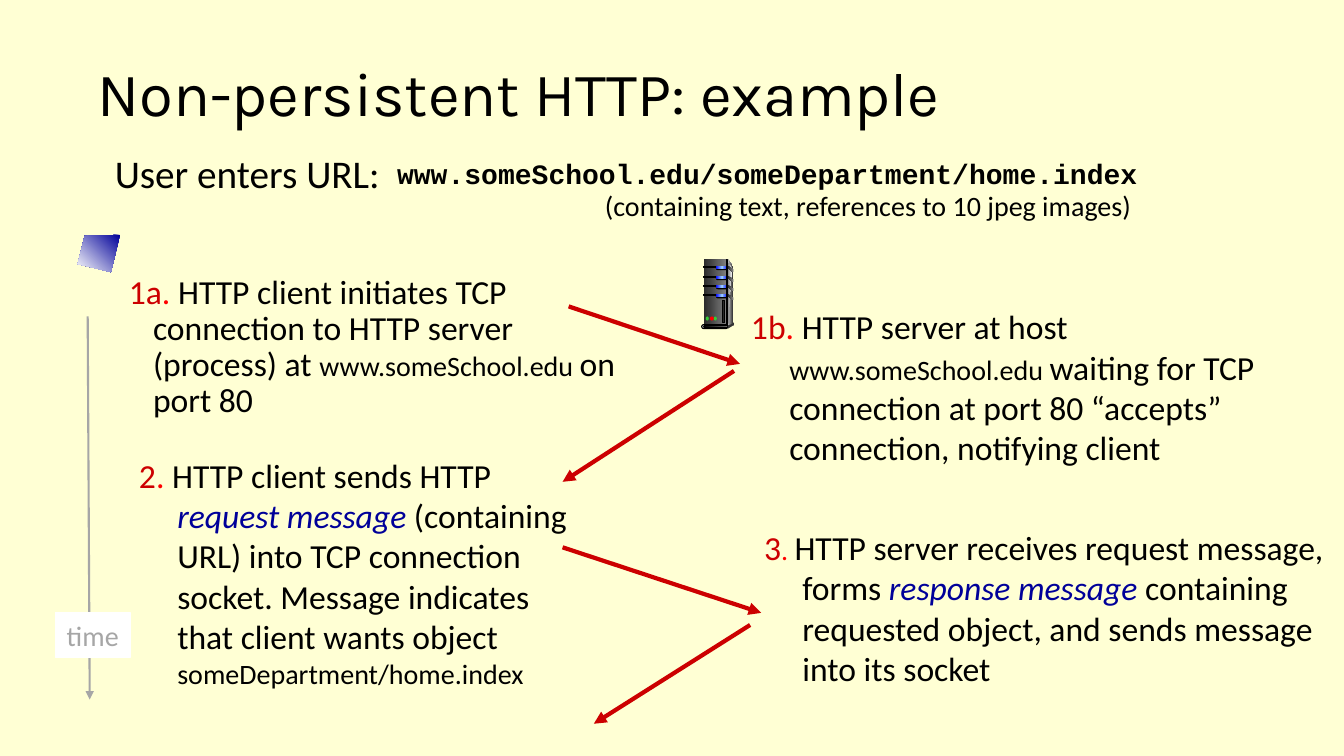
"""Build the slide explaining a non-persistent HTTP exchange between client and server."""
from copy import deepcopy

from lxml.etree import SubElement
from pptx import Presentation
from pptx.dml.color import RGBColor
from pptx.enum.shapes import MSO_CONNECTOR, MSO_SHAPE
from pptx.enum.text import MSO_ANCHOR, PP_ALIGN
from pptx.oxml.ns import qn
from pptx.util import Inches, Pt

CREAM = RGBColor(0xFF, 0xFF, 0xD4)
WHITE = RGBColor(0xFF, 0xFF, 0xFF)
BLACK = RGBColor(0x00, 0x00, 0x00)
CRIMSON = RGBColor(0xCC, 0x00, 0x00)
RED = RGBColor(0xFF, 0x00, 0x00)
NAVY = RGBColor(0x00, 0x00, 0x99)
BLUE = RGBColor(0x00, 0x00, 0xFF)
SKY = RGBColor(0x99, 0xCC, 0xFF)
GREEN = RGBColor(0x33, 0xCC, 0x33)
TIME_GREY = RGBColor(0xA6, 0xA6, 0xA6)
CHARCOAL = RGBColor(0x29, 0x29, 0x29)
DARK_GREY = RGBColor(0x33, 0x33, 0x33)
MID_GREY = RGBColor(0x80, 0x80, 0x80)
LIGHT_GREY = RGBColor(0xDD, 0xDD, 0xDD)
PALE_GREY = RGBColor(0xF8, 0xF8, 0xF8)

presentation = Presentation()
presentation.slide_width = Inches(13.33)
presentation.slide_height = Inches(7.5)
slide = presentation.slides.add_slide(presentation.slide_layouts[6])
slide.background.fill.solid()
slide.background.fill.fore_color.rgb = CREAM


def paint(shape, colours, outline=None, angle=0):
    shape.shadow.inherit = False
    if len(colours) == 1:
        shape.fill.solid()
        shape.fill.fore_color.rgb = colours[0]
    else:
        shape.fill.gradient()
        shape.fill.gradient_angle = angle
        stop_list = shape._element.spPr.find(qn("a:gradFill")).find(qn("a:gsLst"))
        for _ in colours[2:]:
            stop_list.append(deepcopy(stop_list[0]))
        for index, (stop, colour) in enumerate(zip(shape.fill.gradient_stops, colours)):
            stop.position = index / (len(colours) - 1)
            stop.color.rgb = colour
    if outline is None:
        shape.line.fill.background()
    else:
        shape.line.color.rgb = outline
        shape.line.width = Pt(0.75)


def add_polygon(points, colours, angle=0):
    corners = [(Inches(x), Inches(y)) for x, y in points]
    builder = slide.shapes.build_freeform(*corners[0])
    builder.add_line_segments(corners[1:], close=True)
    paint(builder.convert_to_shape(), colours, angle=angle)


plain = {"size": Pt(24)}
small = {"size": Pt(20)}
emphasis = {"size": Pt(24), "italic": True}
step_indent = (0.38, -0.38)
lead_indent = (0.39, -0.24)
texts = [
    ((0.87, 0.47, 11.5, 0.98), (0, 0), {"line_spacing": 0.9},
     [("Non-persistent HTTP: example", BLACK, {"size": Pt(44), "name": "Karla"})]),
    ((0.89, 1.48, 8.69, 0.51), lead_indent, {"line_spacing": 0.9},
     [("User enters URL:", BLACK, {"size": Pt(28)})]),
    ((1.03, 2.68, 5.3, 2.08), lead_indent, {"line_spacing": 0.9},
     [("1a", CRIMSON, plain), (".", RED, plain),
      (" HTTP client initiates TCP connection to HTTP server (process) at ", BLACK, plain),
      ("www.someSchool.edu ", BLACK, small), ("on port 80", BLACK, plain)]),
    ((1.28, 4.46, 4.61, 1.18), step_indent, {},
     [("2", CRIMSON, plain), (".", RED, plain),
      (" HTTP client sends HTTP ", BLACK, plain), ("request message", NAVY, emphasis),
      (" (containing URL) into TCP connection socket. Message indicates "
       "that client wants object ", BLACK, plain),
      ("someDepartment/home.index", BLACK, small)]),
    ((7.35, 2.99, 5.89, 1.65), step_indent, {},
     [("1b", CRIMSON, plain), (".", RED, plain),
      (" HTTP server at host ", BLACK, plain), ("www.someSchool.edu ", BLACK, small),
      ("waiting for TCP connection at port 80 “accepts” connection, notifying client",
       BLACK, plain)]),
    ((7.48, 5.18, 5.85, 1.97), step_indent, {},
     [("3", CRIMSON, plain), (". ", RED, small),
      ("HTTP server receives request message, forms ", BLACK, plain),
      ("response message", NAVY, emphasis),
      (" containing requested object, and sends message into its socket", BLACK, plain)]),
    ((5.12, 1.82, 6.98, 0.44), (0, 0), {"alignment": PP_ALIGN.CENTER},
     [("(containing text, references to 10 jpeg images)", BLACK, small)]),
    ((3.84, 1.55, 8.69, 0.51), step_indent, {"line_spacing": 0.85},
     [("www.someSchool.edu/someDepartment/home.index", BLACK,
       {"size": Pt(20), "name": "Courier New", "bold": True})]),
]
for position, (margin, indent), paragraph_format, runs in texts:
    frame = slide.shapes.add_textbox(*map(Inches, position)).text_frame
    frame.word_wrap = True
    paragraph = frame.paragraphs[0]
    properties = paragraph._p.get_or_add_pPr()
    properties.set("marL", str(Inches(margin)))
    properties.set("indent", str(Inches(indent)))
    for name, value in paragraph_format.items():
        setattr(paragraph, name, value)
    for words, colour, font_format in runs:
        run = paragraph.add_run()
        run.text = words
        run.font.color.rgb = colour
        for name, value in {"name": "Calibri", **font_format}.items():
            setattr(run.font, name, value)
    if position[1] < 1:
        frame.vertical_anchor = MSO_ANCHOR.MIDDLE

arrows = [
    ((0.87, 3.14), (0.89, 6.94), TIME_GREY, 1.5),
    ((5.58, 5.43), (7.55, 6.08), CRIMSON, 3),
    ((7.44, 6.2), (5.89, 7.18), CRIMSON, 3),
    ((5.64, 3.04), (7.34, 3.61), CRIMSON, 3),
    ((7.28, 3.68), (5.58, 4.78), CRIMSON, 3),
]
for start, end, colour, weight in arrows:
    arrow = slide.shapes.add_connector(MSO_CONNECTOR.STRAIGHT, *map(Inches, start + end))
    arrow.line.color.rgb = colour
    arrow.line.width = Pt(weight)
    SubElement(arrow.line._get_or_add_ln(), qn("a:tailEnd"), type="triangle")
    SubElement(arrow._element.spPr, qn("a:effectLst"))

time_label = slide.shapes.add_shape(
    MSO_SHAPE.RECTANGLE, *map(Inches, (0.55, 6.08, 0.74, 0.44)))
paint(time_label, [WHITE], WHITE)
time_label.text_frame.word_wrap = False
time_label.text_frame.text = "time"
time_paragraph = time_label.text_frame.paragraphs[0]
time_paragraph.alignment = PP_ALIGN.CENTER
time_paragraph.font.name = "Calibri"
time_paragraph.font.size = Pt(20)
time_paragraph.font.color.rgb = TIME_GREY

add_polygon([(1.19, 2.33), (0.84, 2.34), (0.77, 2.62), (1.1, 2.7)], [NAVY, WHITE], 225)

add_polygon([(7.22, 2.57), (7.27, 2.65), (7.27, 3.21), (7.21, 3.24)],
            [LIGHT_GREY, DARK_GREY])
server_parts = [(MSO_SHAPE.RECTANGLE, (6.98, 2.57, 0.23, 0.67), [CHARCOAL, MID_GREY], None)]
drive_tops = [2.64, 2.74, 2.83, 2.92]
for top in drive_tops:
    server_parts += [
        (MSO_SHAPE.RECTANGLE, (6.98, top, 0.13, 0.01), [BLACK], BLACK),
        (MSO_SHAPE.ROUNDED_RECTANGLE, (7.1, top, 0.13, 0.04), [BLACK], None),
        (MSO_SHAPE.ROUNDED_RECTANGLE, (7.1, top, 0.12, 0.03), [BLUE, SKY, BLUE], None),
    ]
server_parts += [
    (MSO_SHAPE.RECTANGLE, (7.21, 2.57, 0.01, 0.67), [DARK_GREY, LIGHT_GREY, DARK_GREY], BLACK),
    (MSO_SHAPE.OVAL, (7.27, 3.2, 0.01, 0.03), [DARK_GREY], None),
    (MSO_SHAPE.ROUNDED_RECTANGLE, (6.96, 3.22, 0.26, 0.04), [LIGHT_GREY], BLACK),
    (MSO_SHAPE.ROUNDED_RECTANGLE, (6.98, 3.23, 0.24, 0.02), [BLACK, MID_GREY], BLACK),
    (MSO_SHAPE.OVAL, (7, 3.14, 0.03, 0.04), [GREEN], None),
    (MSO_SHAPE.OVAL, (7.04, 3.14, 0.04, 0.04), [RED], None),
    (MSO_SHAPE.OVAL, (7.08, 3.14, 0.03, 0.04), [GREEN], None),
    (MSO_SHAPE.RECTANGLE, (7.17, 2.98, 0.02, 0.22), [CHARCOAL], BLACK),
]
for outline_kind, position, colours, outline in server_parts:
    part = slide.shapes.add_shape(outline_kind, *map(Inches, position))
    paint(part, colours, outline)
    if outline_kind == MSO_SHAPE.ROUNDED_RECTANGLE:
        part.adjustments[0] = 0.5

add_polygon([(7.22, 2.61), (7.26, 2.66), (7.24, 2.9), (7.22, 3.22)], [MID_GREY, PALE_GREY])
for top in drive_tops:
    add_polygon([(7.22, top), (7.27, top + 0.03), (7.27, top + 0.06), (7.22, top + 0.02)],
                [CHARCOAL, MID_GREY])
add_polygon([(7.22, 3.23), (7.22, 3.26), (7.27, 3.23), (7.27, 3.21)], [DARK_GREY])

presentation.save("out.pptx")
